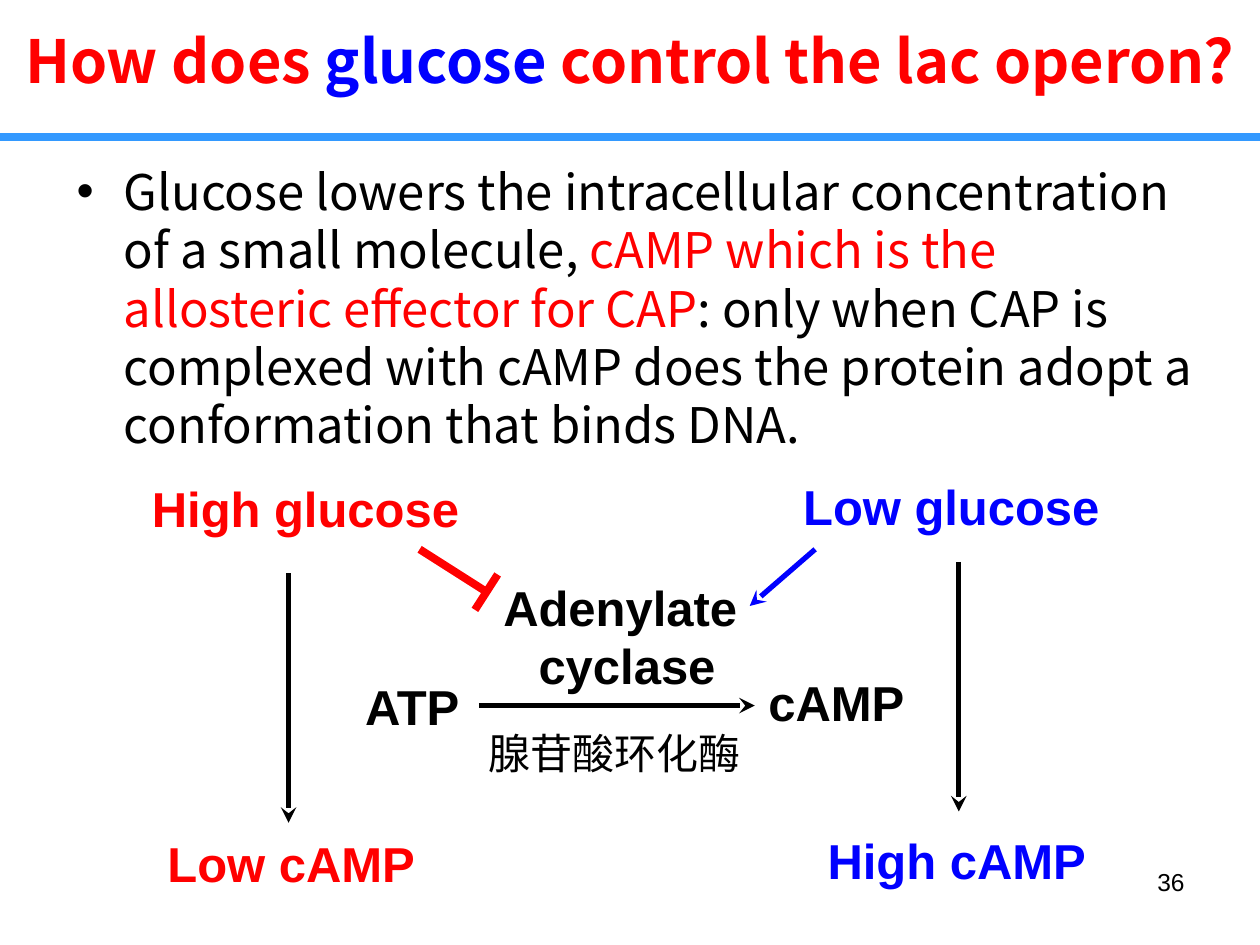
import pptx
import pptx.dml.color
import pptx.enum.shapes
import pptx.enum.text
import pptx.oxml.ns
import pptx.util
from lxml import etree

Pt = pptx.util.Pt
RED = pptx.dml.color.RGBColor(0xFF, 0x00, 0x00)
BLUE = pptx.dml.color.RGBColor(0x00, 0x00, 0xFF)
BLACK = pptx.dml.color.RGBColor(0x00, 0x00, 0x00)
SKY = pptx.dml.color.RGBColor(0x33, 0x99, 0xFF)
SANS = "Noto Sans CJK SC"
LEFT = pptx.enum.text.PP_ALIGN.LEFT
CENTER = pptx.enum.text.PP_ALIGN.CENTER
RIGHT = pptx.enum.text.PP_ALIGN.RIGHT
TOP = pptx.enum.text.MSO_ANCHOR.TOP
MIDDLE = pptx.enum.text.MSO_ANCHOR.MIDDLE


def add_child(parent, tag, **attributes):
    return etree.SubElement(parent, pptx.oxml.ns.qn(tag), **attributes)


def add_text(slide, box, paragraphs, *, size=28, font="Arial", color=BLACK,
             bold=False, align=LEFT, anchor=TOP, wrap=False, spacing=None,
             inset_top=3.6, bullet=None, indent=0):
    frame = slide.shapes.add_textbox(*map(Pt, box)).text_frame
    frame.word_wrap = wrap
    frame.vertical_anchor = anchor
    frame.margin_top = Pt(inset_top)
    if isinstance(paragraphs, str):
        paragraphs = [[(line, color)] for line in paragraphs.split("\n")]
    for number, runs in enumerate(paragraphs):
        paragraph = frame.add_paragraph() if number else frame.paragraphs[0]
        paragraph.alignment = align
        if spacing:
            paragraph.line_spacing = spacing
        if bullet:
            properties = paragraph._p.get_or_add_pPr()
            properties.set("marL", str(Pt(indent)))
            properties.set("indent", str(-Pt(indent)))
            add_child(properties, "a:buFont", typeface="Arial")
            add_child(properties, "a:buChar", char=bullet)
        for words, run_color in runs:
            run = paragraph.add_run()
            run.text = words
            run.font.size = Pt(size)
            run.font.bold = bold
            run.font.name = font
            run.font.color.rgb = run_color
            add_child(run._r.get_or_add_rPr(), "a:ea", typeface=font)


def add_line(slide, start, end, color=BLACK, width=3, arrow=False):
    line = slide.shapes.add_connector(
        pptx.enum.shapes.MSO_CONNECTOR.STRAIGHT, *map(Pt, start + end))
    line.line.color.rgb = color
    line.line.width = Pt(width)
    if arrow:
        add_child(line.line._get_or_add_ln(), "a:tailEnd", type="stealth")
    add_child(line._element.spPr, "a:effectLst")


def add_heading(slide):
    add_line(slide, (0, 78.5), (720, 78.5), SKY, 4.5)
    add_text(slide, (0, -2.5, 720, 78.5),
             [[("How does ", RED), ("glucose", BLUE),
               (" control the lac operon?", RED)]],
             size=34, font=SANS, bold=True, align=CENTER, anchor=MIDDLE,
             wrap=True, spacing=0.9)


def add_explanation(slide):
    add_text(slide, (36.7, 85.7, 656, 195),
             [[("Glucose lowers the intracellular concentration of a small "
                "molecule, ", BLACK),
               ("cAMP which is the allosteric effector for CAP", RED),
               (": only when CAP is complexed with cAMP does the protein "
                "adopt a conformation that binds DNA.", BLACK)]],
             font=SANS, wrap=True, spacing=Pt(33.4), inset_top=6.6,
             bullet="•", indent=27)


def add_pathway(slide):
    labels = [
        ("High glucose", (78.5, 270, 192.2, 41), RED, CENTER),
        ("Low glucose", (450.7, 268.6, 185.8, 41), BLUE, CENTER),
        ("Adenylate \ncyclase", (279.4, 326.2, 157.7, 74.9), BLACK, CENTER),
        ("ATP", (201.6, 383, 69.1, 41), BLACK, LEFT),
        ("cAMP", (432, 380.9, 92.9, 41), BLACK, LEFT),
        ("Low cAMP", (88.6, 473, 157.7, 41), RED, LEFT),
        ("High cAMP", (465.8, 470.9, 164.2, 41), BLUE, LEFT),
    ]
    for words, box, color, align in labels:
        add_text(slide, box, words, color=color, bold=True, align=align)
    add_text(slide, (271.4, 415.4, 159.8, 36), "腺苷酸环化酶",
             size=24, font=SANS, align=CENTER, spacing=0.9)

    add_line(slide, (239.8, 313.9), (277.2, 337.7), RED, 4.5)
    add_line(slide, (284.4, 328.3), (271.4, 348.5), RED, 4.5)
    add_line(slide, (465.8, 313.9), (428.4, 346.3), BLUE, arrow=True)
    add_line(slide, (273.6, 403.2), (431.3, 403.2), arrow=True)
    for x, top in ((164.9, 327.6), (547.9, 321.1)):
        add_line(slide, (x, top), (x, top + 142.6), arrow=True)


def main():
    deck = pptx.Presentation()
    deck.slide_width, deck.slide_height = Pt(720), Pt(540)
    slide = deck.slides.add_slide(deck.slide_layouts[6])
    add_heading(slide)
    add_explanation(slide)
    add_pathway(slide)
    add_text(slide, (516.2, 491.8, 167.8, 37.4), "36", size=14, align=RIGHT,
             wrap=True)
    deck.save("out.pptx")


if __name__ == "__main__":
    main()
